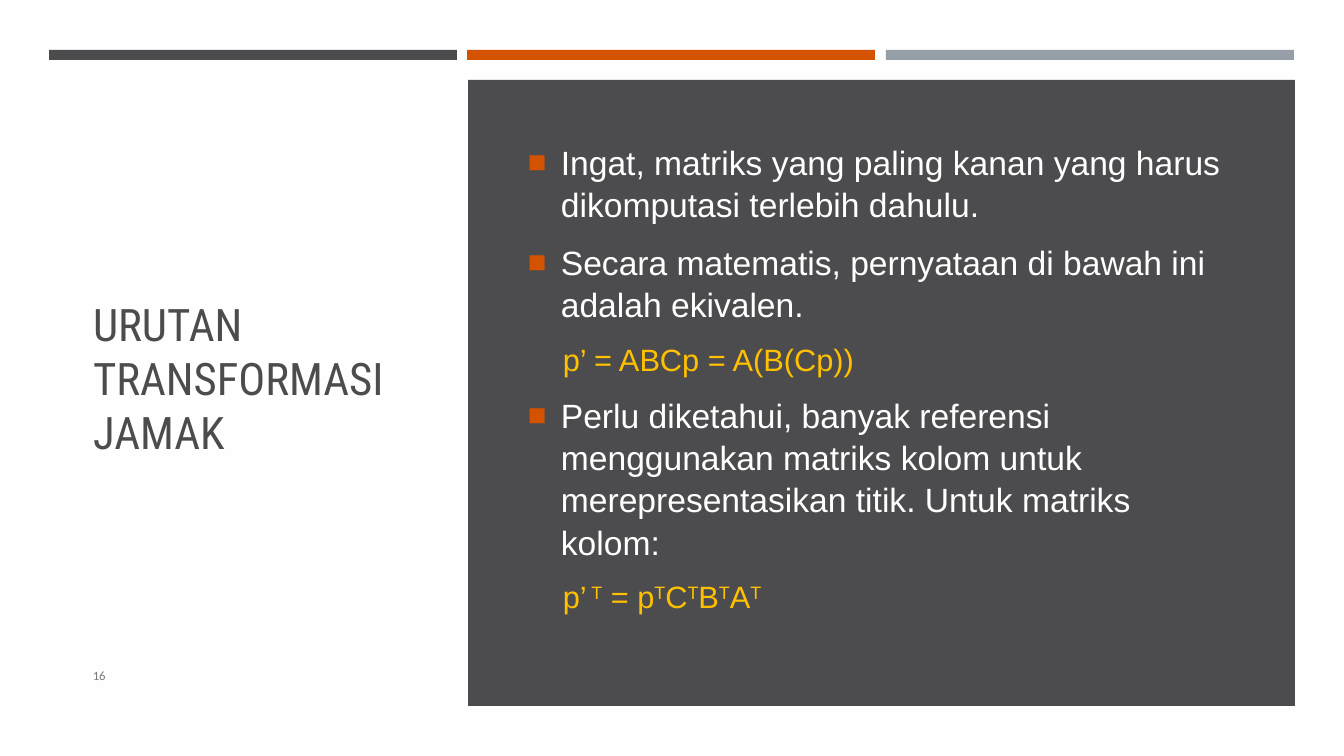
"""Build the slide on the order of multiple transformations."""
from dataclasses import dataclass

from lxml import etree
from pptx import Presentation
from pptx.dml.color import RGBColor
from pptx.enum.shapes import MSO_SHAPE
from pptx.enum.text import MSO_ANCHOR, MSO_AUTO_SIZE, PP_ALIGN
from pptx.oxml.ns import qn
from pptx.util import Emu, Pt

RECT = MSO_SHAPE.RECTANGLE
MIDDLE = MSO_ANCHOR.MIDDLE
LEFT = PP_ALIGN.LEFT
NO_FIT = MSO_AUTO_SIZE.NONE
SCALE = 914400 / 100.8


@dataclass(frozen=True)
class Theme:
    back: str = "3D3D3D"
    paper: str = "FFFEFF"
    dark: str = "4C4C4F"
    orange: str = "D35300"
    gray: str = "969FA7"
    number: str = "78787C"
    white: str = "FFFFFF"
    gold: str = "FFC000"
    title_font: str = "Roboto Condensed"
    body_font: str = "Arial"
    number_font: str = "Calibri"
    title_size: int = 32
    body_size: int = 24
    formula_size: int = 22
    number_size: int = 9


T = Theme()


def box(x, y, w, h, color):
    sp = s.shapes.add_shape(RECT, *[Emu(round(v * SCALE)) for v in (x, y, w, h)])
    sp.fill.solid()
    sp.fill.fore_color.rgb = RGBColor.from_string(color)
    sp.line.fill.background()
    sp.shadow.inherit = False
    return sp


def add_run(p, text, font, size, color):
    r = p.add_run()
    r.text = text
    r.font.name = font
    r.font.size = Pt(size)
    r.font.color.rgb = RGBColor.from_string(color)
    return r


prs = Presentation()
prs.slide_width, prs.slide_height = [Emu(round(v * SCALE)) for v in (1344, 756)]
s = prs.slides.add_slide(prs.slide_layouts[5])
s.background.fill.solid()
s.background.fill.fore_color.rgb = RGBColor.from_string(T.back)

title = s.shapes.title
paper = box(0, 0, 1344, 756, T.paper)
title._element.addprevious(paper._element)

for i, color in enumerate((T.dark, T.orange, T.gray)):
    box(49 + i * 837 // 2, 50, 408, 10, color)
box(468, 80, 827, 626, T.dark)

number = s.shapes.add_textbox(0, 0, 0, 0)
body = s.shapes.add_textbox(0, 0, 0, 0)
places = (
    (title, (83, 118, 337, 519)),
    (number, (83, 656, 75, 40)),
    (body, (518, 118, 728, 519)),
)
for sp, place in places:
    sp.left, sp.top, sp.width, sp.height = [Emu(round(v * SCALE)) for v in place]
    tf = sp.text_frame
    tf.word_wrap = True
    tf.auto_size = NO_FIT
    tf.vertical_anchor = MIDDLE
    tf.paragraphs[0].alignment = LEFT

add_run(title.text_frame.paragraphs[0], "URUTAN TRANSFORMASI JAMAK",
        T.title_font, T.title_size, T.dark)
p = number.text_frame.paragraphs[0]
p.space_after = Pt(6)
add_run(p, "16", T.number_font, T.number_size, T.number)

BULLET, FORMULA = 0, 1
content = (
    (BULLET, ["Ingat, matriks yang paling kanan yang harus dikomputasi terlebih dahulu."]),
    (BULLET, ["Secara matematis, pernyataan di bawah ini adalah ekivalen."]),
    (FORMULA, ["p’ = ABCp = A(B(Cp))"]),
    (BULLET, ["Perlu diketahui, banyak referensi menggunakan matriks kolom untuk "
              "merepresentasikan titik. Untuk matriks kolom:"]),
    (FORMULA, ["p’", " T", " = p", "T", "C", "T", "B", "T", "A", "T"]),
)
tf = body.text_frame
for i, (level, parts) in enumerate(content):
    p = tf.add_paragraph() if i else tf.paragraphs[0]
    size, color = ((T.body_size, T.white), (T.formula_size, T.gold))[level]
    p.level = level
    p.line_spacing = 1.05
    p.space_before = Pt(0.2 * size)
    p.space_after = Pt(6)
    pPr = p._p.get_or_add_pPr()
    margin, indent = ((33, -33), (35, 0))[level]
    pPr.set("marL", str(round(margin * SCALE)))
    pPr.set("indent", str(round(indent * SCALE)))
    if level == BULLET:
        bu_color = etree.SubElement(pPr, qn("a:buClr"))
        etree.SubElement(bu_color, qn("a:srgbClr"), val=T.orange)
        etree.SubElement(pPr, qn("a:buSzPct"), val="92000")
        etree.SubElement(pPr, qn("a:buFont"), typeface=T.body_font)
        etree.SubElement(pPr, qn("a:buChar"), char="■")
    else:
        etree.SubElement(pPr, qn("a:buNone"))
    for j, text in enumerate(parts):
        r = add_run(p, text, T.body_font, size, color)
        if j % 2:
            r._r.get_or_add_rPr().set("baseline", "30000")

prs.save("out.pptx")
